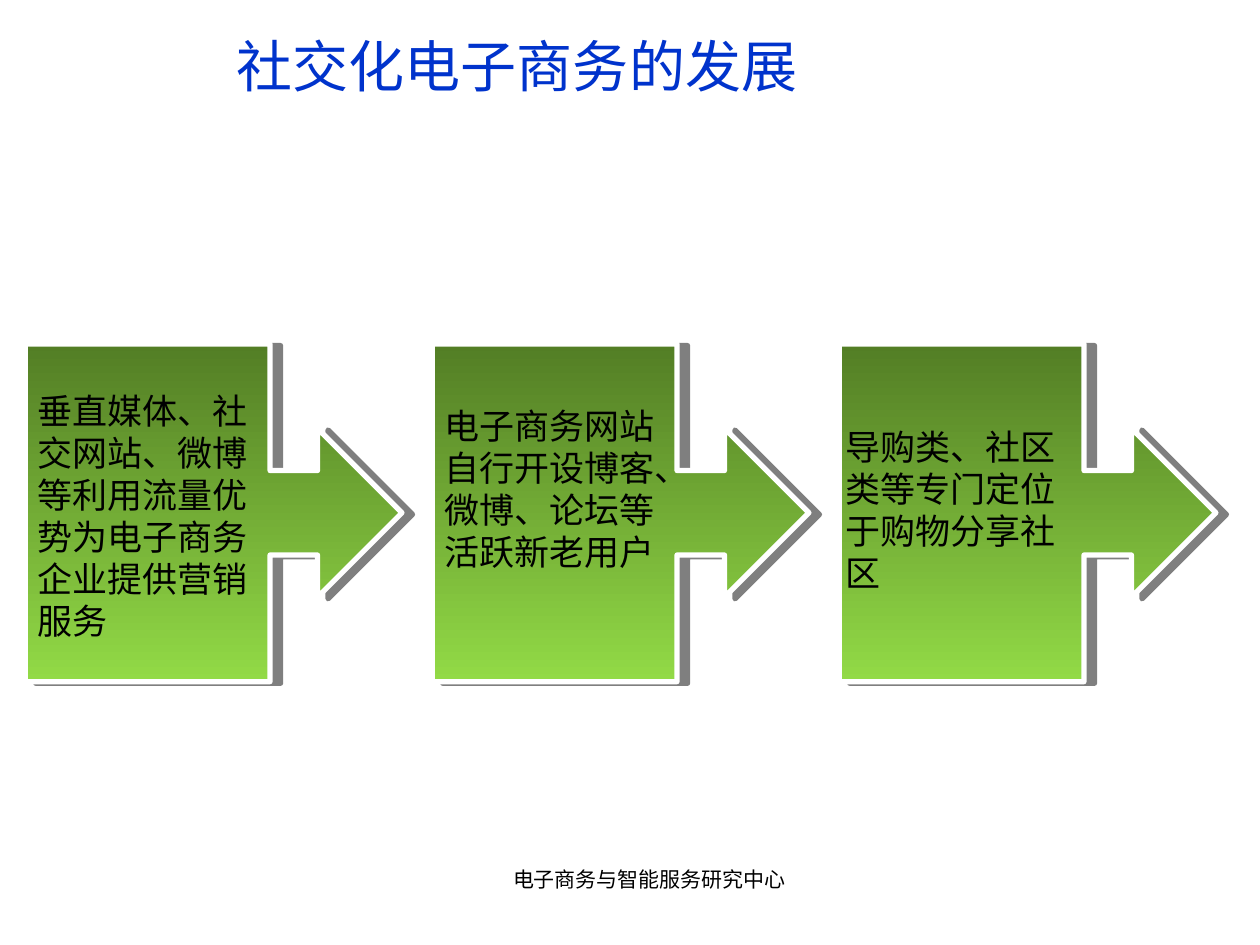
from dataclasses import dataclass

from lxml import etree
from pptx import Presentation
from pptx.dml.color import RGBColor
from pptx.enum import shapes, text
from pptx.oxml import ns
from pptx.util import Inches, Pt


@dataclass(frozen=True)
class Theme:
    font: str = "Noto Sans CJK SC"
    title_color: RGBColor = RGBColor(0x00, 0x33, 0xCC)
    text_color: RGBColor = RGBColor(0x00, 0x00, 0x00)
    outline: RGBColor = RGBColor(0xFF, 0xFF, 0xFF)
    gradient: tuple = (RGBColor(0x53, 0x7E, 0x25), RGBColor(0x92, 0xDA, 0x46))
    title_size: int = 32
    stage_size: int = 20
    footer_size: int = 12


@dataclass(frozen=True)
class Frame:
    left: float
    top: float
    width: float
    height: float

    def lengths(self) -> tuple:
        return tuple(Inches(n) for n in (self.left, self.top, self.width, self.height))


@dataclass(frozen=True)
class Stage:
    words: str
    text_left: float
    text_top: float
    text_height: float


THEME = Theme()
STAGES = (
    Stage("垂直媒体、社交网站、微博等利用流量优势为电子商务企业提供营销服务", 0.2, 3.04, 2.1),
    Stage("电子商务网站自行开设博客、微博、论坛等活跃新老用户", 3.43, 3.16, 1.44),
    Stage("导购类、社区类等专门定位于购物分享社区", 6.61, 3.33, 1.44),
)
FIRST_LEFT, STAGE_PITCH = 0.2, 3.23


def write(box, words: str, size: int, color: RGBColor, align=text.PP_ALIGN.LEFT) -> None:
    frame = box.text_frame
    frame.word_wrap = True
    frame.text = words
    para = frame.paragraphs[0]
    para.alignment = align
    font = para.font
    font.name, font.size = THEME.font, Pt(size)
    font.color.rgb = color
    # Chinese characters take their typeface from the East Asian slot.
    properties = para._p.pPr.find(ns.qn("a:defRPr"))
    latin = properties.find(ns.qn("a:latin"))
    east_asian = etree.Element(ns.qn("a:ea"), typeface=THEME.font)
    latin.addnext(east_asian)


def add_shadow(shape) -> None:
    """Cast a hard, half-transparent shadow to the right of the shape."""
    shape.shadow.inherit = False
    effects = shape._element.spPr.find(ns.qn("a:effectLst"))
    shadow = etree.SubElement(
        effects, ns.qn("a:outerShdw"), blurRad="0", dist=str(Pt(6.1)),
        dir=str(9 * 60000), algn="ctr", rotWithShape="0")
    color = etree.SubElement(shadow, ns.qn("a:srgbClr"), val="000000")
    etree.SubElement(color, ns.qn("a:alpha"), val="50000")


def add_callout(slide, frame: Frame) -> None:
    callout = slide.shapes.add_shape(
        shapes.MSO_SHAPE.RIGHT_ARROW_CALLOUT, *frame.lengths())
    for index, value in enumerate((0.25, 0.25, 0.25, 0.65)):
        callout.adjustments[index] = value
    callout.fill.gradient()
    callout.fill.gradient_angle = 270
    for stop, color in zip(callout.fill.gradient_stops, THEME.gradient):
        stop.color.rgb = color
    callout.line.color.rgb = THEME.outline
    callout.line.width = Pt(3)
    add_shadow(callout)


def add_stage(slide, index: int, stage: Stage) -> None:
    add_callout(slide, Frame(FIRST_LEFT + index * STAGE_PITCH, 2.73, 2.99, 2.68))
    label = Frame(stage.text_left, stage.text_top, 2.01, stage.text_height)
    box = slide.shapes.add_textbox(*label.lengths())
    write(box, stage.words, THEME.stage_size, THEME.text_color)
    box.text_frame.auto_size = text.MSO_AUTO_SIZE.SHAPE_TO_FIT_TEXT


def main() -> None:
    deck = Presentation()
    deck.slide_width, deck.slide_height = Inches(10), Inches(7.5)
    slide = deck.slides.add_slide(deck.slide_layouts[5])

    title = slide.shapes.title
    title.left, title.top, title.width, title.height = Frame(1.78, -0.11, 7.4, 1.25).lengths()
    write(title, "社交化电子商务的发展", THEME.title_size, THEME.title_color)
    title.text_frame.vertical_anchor = text.MSO_ANCHOR.MIDDLE

    footer = slide.shapes.add_textbox(*Frame(3.42, 6.83, 3.47, 0.54).lengths())
    write(footer, "电子商务与智能服务研究中心", THEME.footer_size,
          THEME.text_color, text.PP_ALIGN.CENTER)

    for index, stage in enumerate(STAGES):
        add_stage(slide, index, stage)
    deck.save("out.pptx")


if __name__ == "__main__":
    main()
